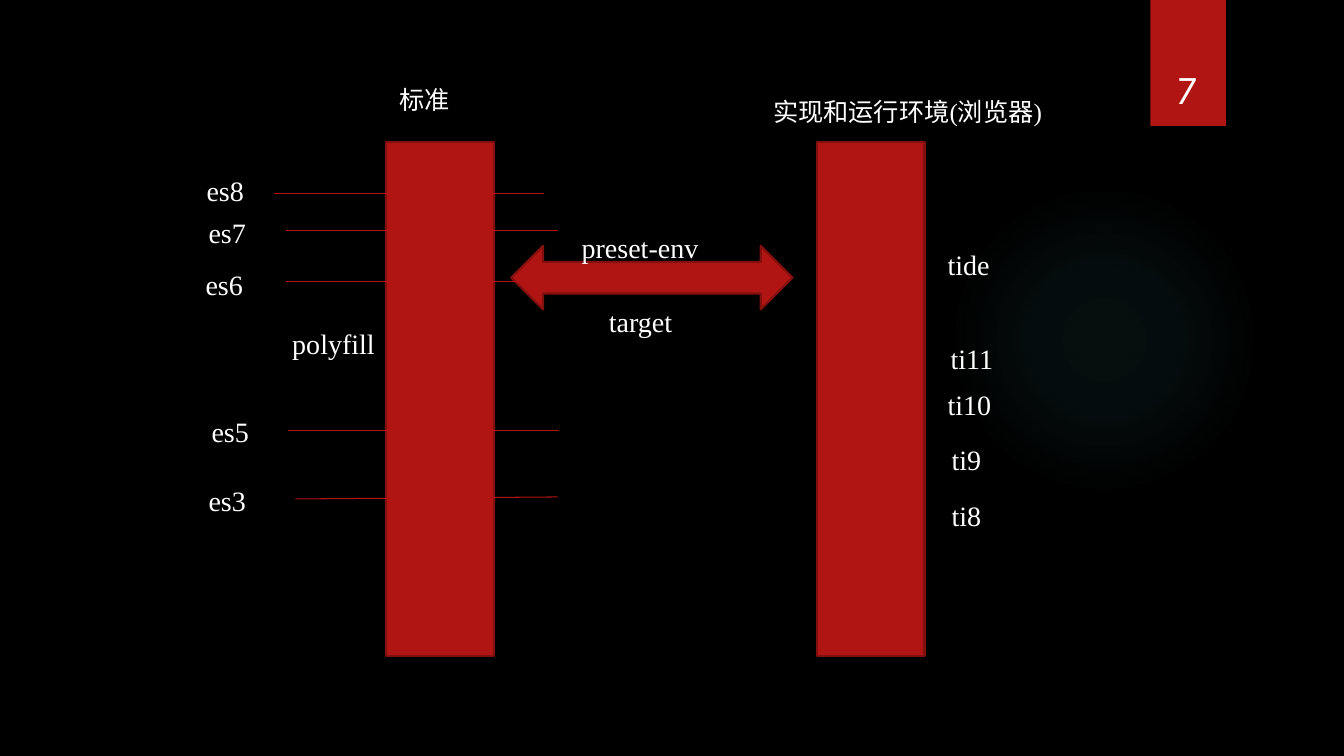
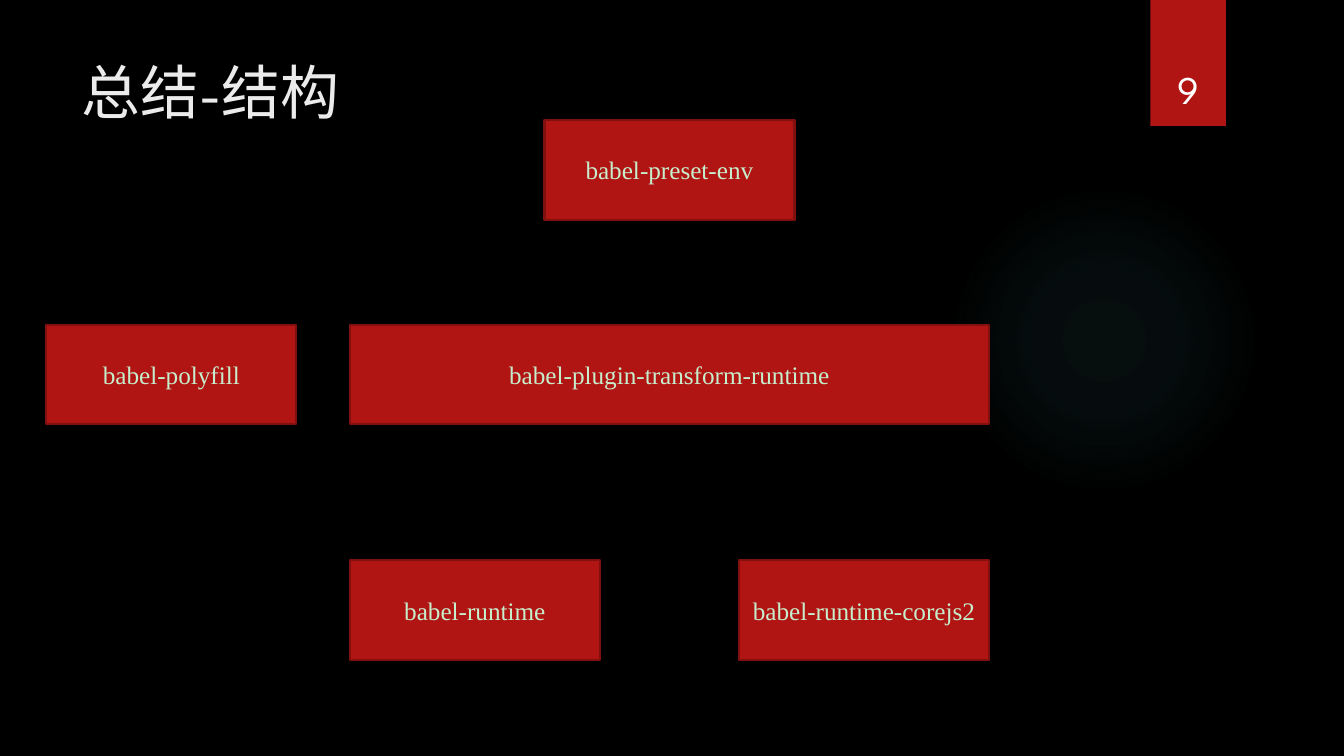
from dataclasses import dataclass

from pptx import Presentation
from pptx.dml.color import RGBColor
from pptx.enum.shapes import MSO_CONNECTOR, MSO_SHAPE
from pptx.enum.text import MSO_ANCHOR, MSO_AUTO_SIZE, PP_ALIGN
from pptx.oxml import parse_xml
from pptx.oxml.ns import nsdecls, qn
from pptx.util import Inches, Pt
from lxml import etree


@dataclass(frozen=True)
class Theme:
    bg: str = "000000"
    red: str = "B01513"
    edge: str = "82100E"
    label_text: str = "FFFFFF"
    block_text: str = "C7EDCC"
    title: str = "EBEBEB"
    glow: str = "50B9C1"
    body_font: str = "Times New Roman"
    head_font: str = "League Spartan"
    body: int = 18
    label: int = 20
    page: int = 28
    heading: int = 42
    outline: float = 1.5
    rule: float = 0.75


T = Theme()
TITLE_ONLY, BLANK = 5, 6


def rgb(value):
    return RGBColor.from_string(value)


def place(left, top, width, height):
    return Inches(left), Inches(top), Inches(width), Inches(height)


# Text
def add_run(p, text, size, color=T.label_text, font=T.body_font):
    r = p.add_run()
    r.text = text
    r.font.size = Pt(size)
    r.font.name = font
    r.font.color.rgb = rgb(color)


def add_label(s, text, left, top, width, height=0.44, size=T.label, wrap=False):
    tf = s.shapes.add_textbox(*place(left, top, width, height)).text_frame
    tf.word_wrap = wrap
    tf.auto_size = MSO_AUTO_SIZE.SHAPE_TO_FIT_TEXT
    add_run(tf.paragraphs[0], text, size)


def set_title(s, text):
    sp = s.shapes.title
    sp.left, sp.top, sp.width, sp.height = place(0.71, 0.5, 10.29, 1.53)
    tf = sp.text_frame
    tf.vertical_anchor = MSO_ANCHOR.TOP
    p = tf.paragraphs[0]
    p.alignment = PP_ALIGN.LEFT
    add_run(p, text, T.heading, T.title, T.head_font)


# Shapes and lines
def add_block(s, left, top, width, height, text="",
              kind=MSO_SHAPE.RECTANGLE, outlined=True):
    sp = s.shapes.add_shape(kind, *place(left, top, width, height))
    sp.shadow.inherit = False
    sp.fill.solid()
    sp.fill.fore_color.rgb = rgb(T.red)
    if outlined:
        sp.line.color.rgb = rgb(T.edge)
        sp.line.width = Pt(T.outline)
    else:
        sp.line.fill.background()
    if text:
        tf = sp.text_frame
        tf.word_wrap = True
        tf.vertical_anchor = MSO_ANCHOR.MIDDLE
        p = tf.paragraphs[0]
        p.alignment = PP_ALIGN.CENTER
        add_run(p, text, T.body, T.block_text)


def add_rule(s, x1, y1, x2, y2):
    line = s.shapes.add_connector(
        MSO_CONNECTOR.STRAIGHT, Inches(x1), Inches(y1), Inches(x2), Inches(y2))
    line.line.color.rgb = rgb(T.red)
    line.line.width = Pt(T.rule)
    etree.SubElement(line._element.spPr, qn("a:effectLst"))


# Shared frame: glow, tab and page number
def add_glow(s):
    sp = s.shapes.add_shape(MSO_SHAPE.OVAL, *place(9.41, 1.83, 3.08, 3.08))
    sp.shadow.inherit = False
    sp.line.fill.background()
    stops = "".join(
        f'<a:gs pos="{pos * 1000}"><a:srgbClr val="{T.glow}">'
        f'<a:alpha val="{alpha * 1000}"/></a:srgbClr></a:gs>'
        for pos, alpha in ((0, 7), (36, 6), (69, 0)))
    grad = parse_xml(
        f'<a:gradFill {nsdecls("a")}><a:gsLst>{stops}</a:gsLst>'
        '<a:path path="circle"><a:fillToRect l="50000" t="50000" '
        'r="50000" b="50000"/></a:path></a:gradFill>')
    sp._element.spPr.find(qn("a:prstGeom")).addnext(grad)


def add_page_number(s, number):
    tf = s.shapes.add_textbox(*place(11.32, 0.32, 0.92, 0.84)).text_frame
    tf.word_wrap = True
    tf.vertical_anchor = MSO_ANCHOR.BOTTOM
    p = tf.paragraphs[0]
    p.alignment = PP_ALIGN.CENTER
    add_run(p, str(number), T.page, font=T.head_font)


def new_slide(prs, layout, number):
    s = prs.slides.add_slide(prs.slide_layouts[layout])
    add_glow(s)
    add_block(s, 11.41, 0, 0.75, 1.25, outlined=False)
    add_page_number(s, number)
    return s


# Slides
def build_standards(prs):
    s = new_slide(prs, BLANK, 7)

    # Two columns with their headings
    for left in (3.83, 8.1):
        add_block(s, left, 1.41, 1.07, 5.1)
    add_label(s, "标准", 3.86, 0.79, 0.99, 0.4, T.body, wrap=True)
    add_label(s, "实现和运行环境(浏览器)", 7.57, 0.91, 3.06, 0.4, T.body, wrap=True)

    # Bridge between the columns
    add_block(s, 5.07, 2.44, 2.79, 0.63, kind=MSO_SHAPE.LEFT_RIGHT_ARROW)
    add_label(s, "preset-env", 5.67, 2.24, 1.91, wrap=True)
    add_label(s, "target", 5.94, 2.97, 1.04, wrap=True)

    # Language versions: name, label left and top, rule ends
    versions = (
        ("es8", 1.95, 1.67, (2.72, 1.92, 5.4, 1.92)),
        ("es7", 1.97, 2.09, (2.84, 2.29, 5.53, 2.29)),
        ("es6", 1.94, 2.6, (2.84, 2.79, 5.53, 2.79)),
        ("es5", 2, 4.06, (2.86, 4.27, 5.54, 4.27)),
        ("es3", 1.97, 4.75, (2.93, 4.95, 5.53, 4.93)),
    )
    for name, left, top, ends in versions:
        add_label(s, name, left, top, 0.58)
        add_rule(s, *ends)
    add_rule(s, 3.83, 4.95, 4.85, 4.91)
    add_label(s, "polyfill", 2.8, 3.19, 1.02)

    # Browsers: name, left, top, width
    browsers = (
        ("tide", 9.3, 2.41, 0.73),
        ("ti11", 9.33, 3.34, 0.67),
        ("ti10", 9.3, 3.8, 0.68),
        ("ti9", 9.34, 4.34, 0.54),
        ("ti8", 9.34, 4.9, 0.54),
    )
    for browser in browsers:
        add_label(s, *browser)


def build_structure(prs):
    s = new_slide(prs, TITLE_ONLY, 9)
    set_title(s, "总结-结构")

    # Packages: name, left, top, width
    narrow, wide, height = 2.48, 6.34, 0.99
    start, middle, bottom = 3.47, 3.22, 5.56
    packages = (
        ("babel-preset-env", start + (wide - narrow) / 2, 1.19, narrow),
        ("babel-polyfill", 0.46, middle, narrow),
        ("babel-plugin-transform-runtime", start, middle, wide),
        ("babel-runtime", start, bottom, narrow),
        ("babel-runtime-corejs2", start + wide - narrow, bottom, narrow),
    )
    for name, left, top, width in packages:
        add_block(s, left, top, width, height, name)


def main():
    prs = Presentation()
    prs.slide_width, prs.slide_height = Inches(13.33), Inches(7.5)
    fill = prs.slide_master.background.fill
    fill.solid()
    fill.fore_color.rgb = rgb(T.bg)
    build_standards(prs)
    build_structure(prs)
    prs.save("out.pptx")


main()
